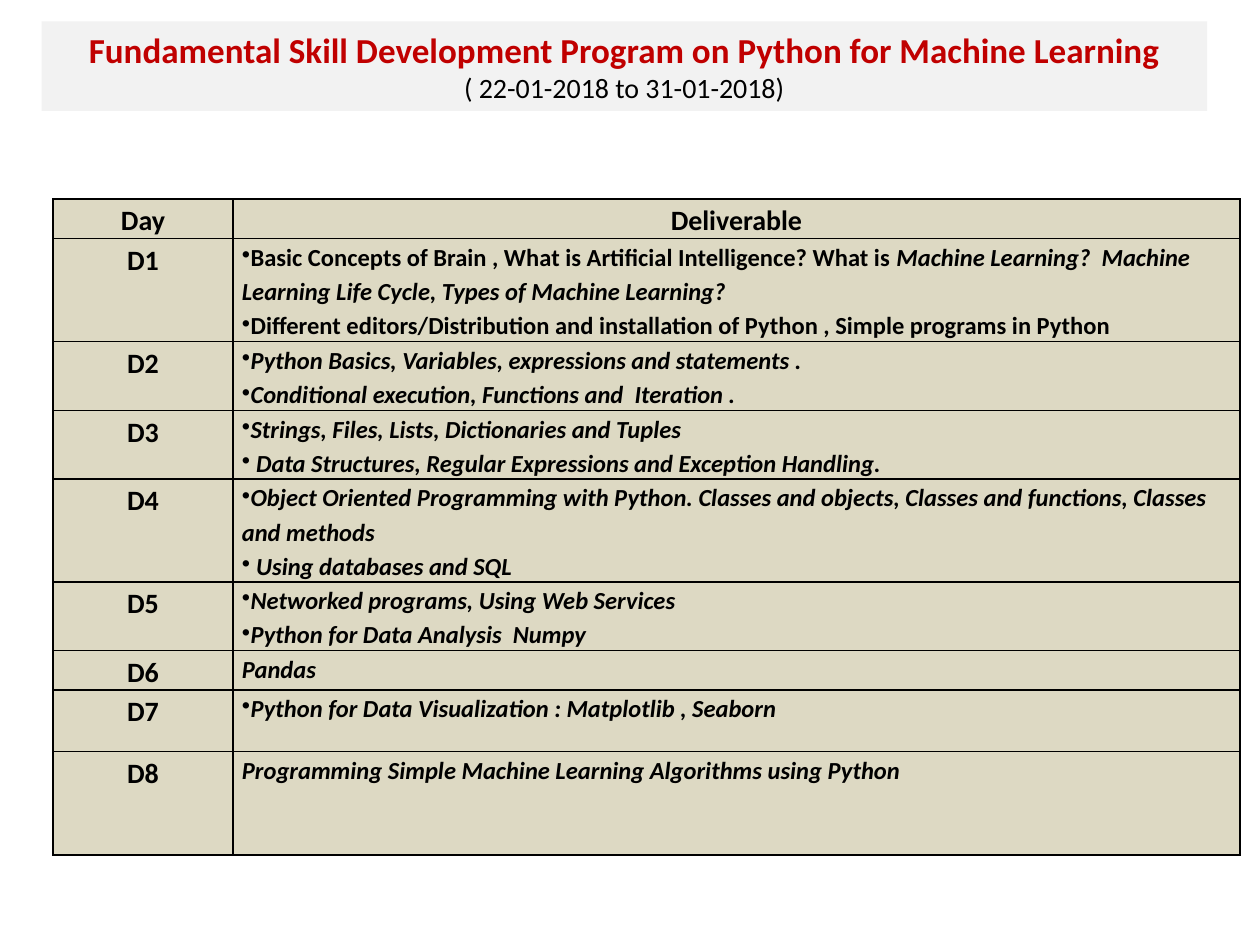
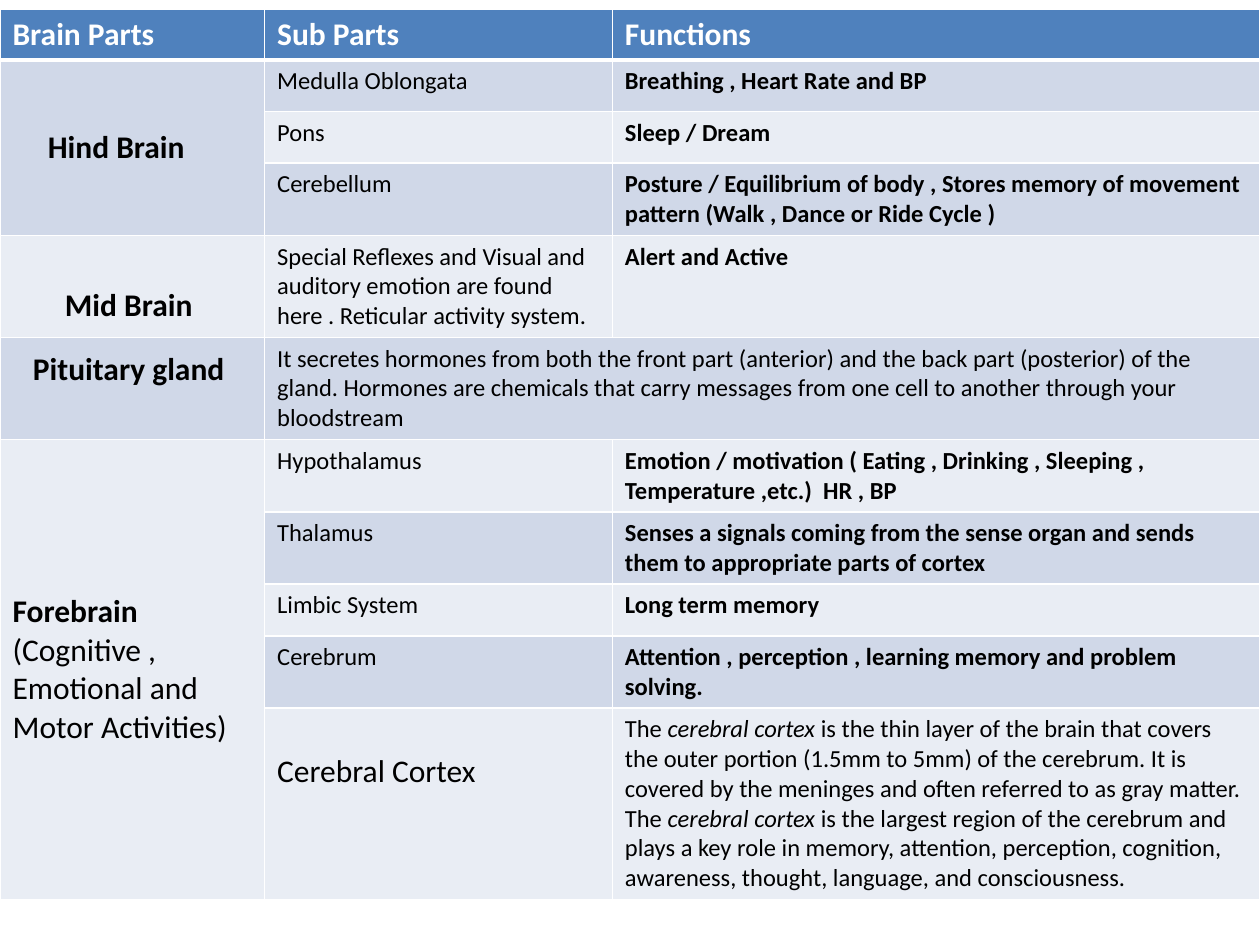
from lxml.etree import SubElement
from pptx import Presentation
from pptx.dml.color import RGBColor
from pptx.enum.shapes import MSO_SHAPE
from pptx.enum.text import MSO_ANCHOR, PP_ALIGN
from pptx.oxml.ns import qn
from pptx.util import Inches, Pt

FONT = "Calibri"
BLACK, WHITE, RED = "000000", "FFFFFF", "C00000"
BAND_GREY, SAND = "F2F2F2", "DDD9C3"
HEADER_BLUE, DARK_BAND, LIGHT_BAND = "4F81BD", "D0D8E8", "E9EDF4"
ITALIC, UPRIGHT = {"italic": True}, {"italic": False}

PROGRAM_TITLE = [
    [("Fundamental Skill Development Program on Python for Machine Learning",
      {"size": 20, "color": RED, "bold": True})],
    "( 22-01-2018 to 31-01-2018)",
]
DELIVERABLES = [
    [[("Basic Concepts of Brain , What is Artificial Intelligence? What is ", UPRIGHT),
      "Machine Learning?  Machine Learning Life Cycle, Types of Machine Learning?"],
     [("Different editors/Distribution and installation of Python , "
       "Simple programs in Python", UPRIGHT)]],
    ["Python Basics, Variables, expressions and statements .",
     "Conditional execution, Functions and  Iteration ."],
    ["Strings, Files, Lists, Dictionaries and Tuples",
     " Data Structures, Regular Expressions and Exception Handling."],
    ["Object Oriented Programming with Python. Classes and objects, "
     "Classes and functions, Classes and methods",
     [(" ", UPRIGHT), "Using databases and SQL"]],
    ["Networked programs, Using Web Services", "Python for Data Analysis  Numpy"],
    ["Pandas"],
    ["Python for Data Visualization : Matplotlib , Seaborn"],
    ["Programming Simple Machine Learning Algorithms using Python"],
]
PLAIN_DAYS = (6, 8)
SCHEDULE_ROWS = [0.31, 0.82, 0.53, 0.54, 0.8, 0.54, 0.31, 0.49, 0.82]

BRAIN_HEADINGS = ["Brain Parts", "Sub Parts", "Functions"]
SUB_PARTS = [
    ("Medulla Oblongata", "Breathing , Heart Rate and BP"),
    ("Pons", "Sleep / Dream"),
    ("Cerebellum", "Posture / Equilibrium of body , Stores memory of movement "
     "pattern (Walk , Dance or Ride Cycle )"),
    ("Special Reflexes and Visual and auditory emotion are found here . "
     "Reticular activity system.", "Alert and Active"),
    ("It secretes hormones from both the front part (anterior) and the back part "
     "(posterior) of the gland. Hormones are chemicals that carry messages from one "
     "cell to another through your bloodstream", None),
    ("Hypothalamus", "Emotion / motivation ( Eating , Drinking , Sleeping , "
     "Temperature ,etc.)  HR , BP"),
    ("Thalamus", "Senses a signals coming from the sense organ and sends them to "
     "appropriate parts of cortex"),
    ("Limbic System", "Long term memory"),
    ("Cerebrum", "Attention , perception , learning memory and problem solving."),
]
CORTEX_FUNCTION = [
    "The ", ("cerebral cortex", ITALIC),
    " is the thin layer of the brain that covers the outer portion (1.5mm to 5mm) of the "
    "cerebrum. It is covered by the meninges and often referred to as gray matter. The ",
    ("cerebral cortex", ITALIC),
    " is the largest region of the cerebrum and plays a key role in memory, attention, "
    "perception, cognition, awareness, thought, language, and consciousness.",
]
BRAIN_ROWS = [0.38, 0.41, 0.41, 0.57, 0.8, 0.8, 0.57, 0.57, 0.41, 0.57, 1.49]
FOREBRAIN = [("Forebrain", {"bold": True}), " (Cognitive , Emotional and Motor Activities)"]
BRAIN_PARTS = [
    (1, 3, ["Hind Brain"], {"bold": True}, {"margin_left": 0.38}),
    (4, 4, ["Mid Brain "], {"bold": True, "align": PP_ALIGN.CENTER}, {"margin_top": 0.35}),
    (5, 5, ["Pituitary gland "], {"bold": True, "align": PP_ALIGN.CENTER},
     {"margin_bottom": 0.35}),
    (6, 10, [FOREBRAIN], {}, {}),
]


def paint(color_format, value):
    color_format.rgb = RGBColor.from_string(value)


def fill_with(target, color):
    target.fill.solid()
    paint(target.fill.fore_color, color)


def write_text(frame, paragraphs, size=14, color=BLACK, bold=False, italic=False,
               align=PP_ALIGN.LEFT, spacing=None, bullet=None):
    frame.word_wrap = True
    for index, pieces in enumerate(paragraphs):
        para = frame.add_paragraph() if index else frame.paragraphs[0]
        if bullet:
            SubElement(para._p.get_or_add_pPr(), qn("a:buChar")).set("char", bullet)
        para.alignment = align
        if spacing:
            para.line_spacing = spacing
        for piece in [pieces] if isinstance(pieces, str) else pieces:
            text, changes = (piece, {}) if isinstance(piece, str) else piece
            style = {"size": size, "color": color, "bold": bold, "italic": italic, **changes}
            span = para.add_run()
            span.text = text
            span.font.name = FONT
            span.font.size = Pt(style["size"])
            span.font.bold = style["bold"]
            span.font.italic = style["italic"]
            paint(span.font.color, style["color"])


def style_cell(cell, fill, border, bottom_width=1):
    properties = cell._tc.get_or_add_tcPr()
    for side in ("L", "R", "T", "B"):
        width = bottom_width if side == "B" else 1
        line = SubElement(properties, qn(f"a:ln{side}"), w=str(Pt(width)))
        solid = SubElement(line, qn("a:solidFill"))
        SubElement(solid, qn("a:srgbClr"), val=border)
    fill_with(cell, fill)


def add_grid(page, left, top, columns, rows):
    frame = page.shapes.add_table(len(rows), len(columns), Inches(left), Inches(top),
                                  Inches(sum(columns)), Inches(sum(rows)))
    table = frame.table
    table.first_row = table.horz_banding = False
    for column, width in zip(table.columns, columns):
        column.width = Inches(width)
    for row, height in zip(table.rows, rows):
        row.height = Inches(height)
    return table


def add_title_band(page, left, top, width, height):
    box = page.shapes.add_shape(MSO_SHAPE.RECTANGLE, Inches(left), Inches(top),
                                Inches(width), Inches(height))
    box.shadow.inherit = False
    fill_with(box, BAND_GREY)
    box.line.fill.background()
    box.text_frame.vertical_anchor = MSO_ANCHOR.MIDDLE
    write_text(box.text_frame, PROGRAM_TITLE, size=16, align=PP_ALIGN.CENTER)


def add_schedule(page, left, top, columns):
    table = add_grid(page, left, top, columns, SCHEDULE_ROWS)
    for cell in table.iter_cells():
        style_cell(cell, SAND, BLACK)
        cell.margin_left = cell.margin_right = Inches(0.07)
        cell.margin_top = cell.margin_bottom = 0
    heading = {"size": 16, "bold": True, "align": PP_ALIGN.CENTER, "spacing": 1.15}
    write_text(table.cell(0, 0).text_frame, ["Day"], **heading)
    write_text(table.cell(0, 1).text_frame, ["Deliverable"], **heading)
    for day, topics in enumerate(DELIVERABLES, 1):
        write_text(table.cell(day, 0).text_frame, [f"D{day}"], **heading)
        write_text(table.cell(day, 1).text_frame, topics, bold=True, italic=True,
                   spacing=1.15, bullet=None if day in PLAIN_DAYS else "•")


def add_brain_table(page, left, top, columns):
    table = add_grid(page, left, top, columns, BRAIN_ROWS)
    for row in range(len(BRAIN_ROWS)):
        for column, heading in enumerate(BRAIN_HEADINGS):
            cell = table.cell(row, column)
            if row == 0:
                style_cell(cell, HEADER_BLUE, WHITE, bottom_width=3)
                write_text(cell.text_frame, [heading], size=18, color=WHITE, bold=True)
            else:
                style_cell(cell, DARK_BAND if row % 2 else LIGHT_BAND, WHITE)
    for row, (name, function) in enumerate(SUB_PARTS, 1):
        write_text(table.cell(row, 1).text_frame, [name])
        if function:
            write_text(table.cell(row, 2).text_frame, [function], bold=True)
        else:
            table.cell(row, 1).merge(table.cell(row, 2))
    cortex_row = len(SUB_PARTS) + 1
    cortex = table.cell(cortex_row, 1)
    cortex.margin_top = Inches(0.35)
    write_text(cortex.text_frame, ["Cerebral Cortex"], size=18)
    write_text(table.cell(cortex_row, 2).text_frame, [CORTEX_FUNCTION])
    for first, last, text, style, margins in BRAIN_PARTS:
        cell = table.cell(first, 0)
        if last > first:
            cell.merge(table.cell(last, 0))
        cell.vertical_anchor = MSO_ANCHOR.MIDDLE
        for margin, inches in margins.items():
            setattr(cell, margin, Inches(inches))
        write_text(cell.text_frame, text, size=18, **style)


def main():
    deck = Presentation()
    deck.slide_width, deck.slide_height = Inches(10), Inches(7.5)
    blank = deck.slide_layouts[6]
    program_page = deck.slides.add_slide(blank)
    add_title_band(program_page, 0.33, 0.17, 9.25, 0.71)
    add_schedule(program_page, 0.42, 1.58, [1.43, 7.99])
    brain_page = deck.slides.add_slide(blank)
    add_brain_table(brain_page, 0, 0.07, [2.1, 2.76, 5.14])
    deck.save("out.pptx")


if __name__ == "__main__":
    main()
